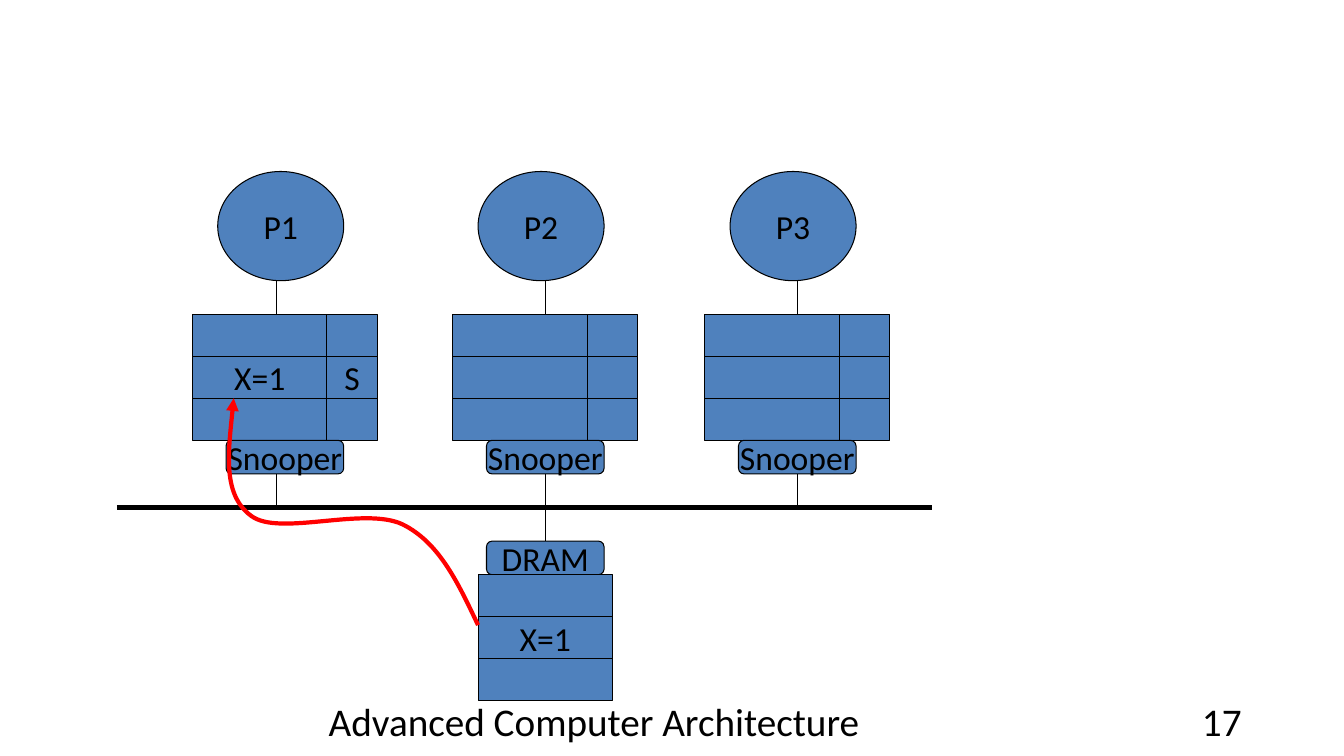
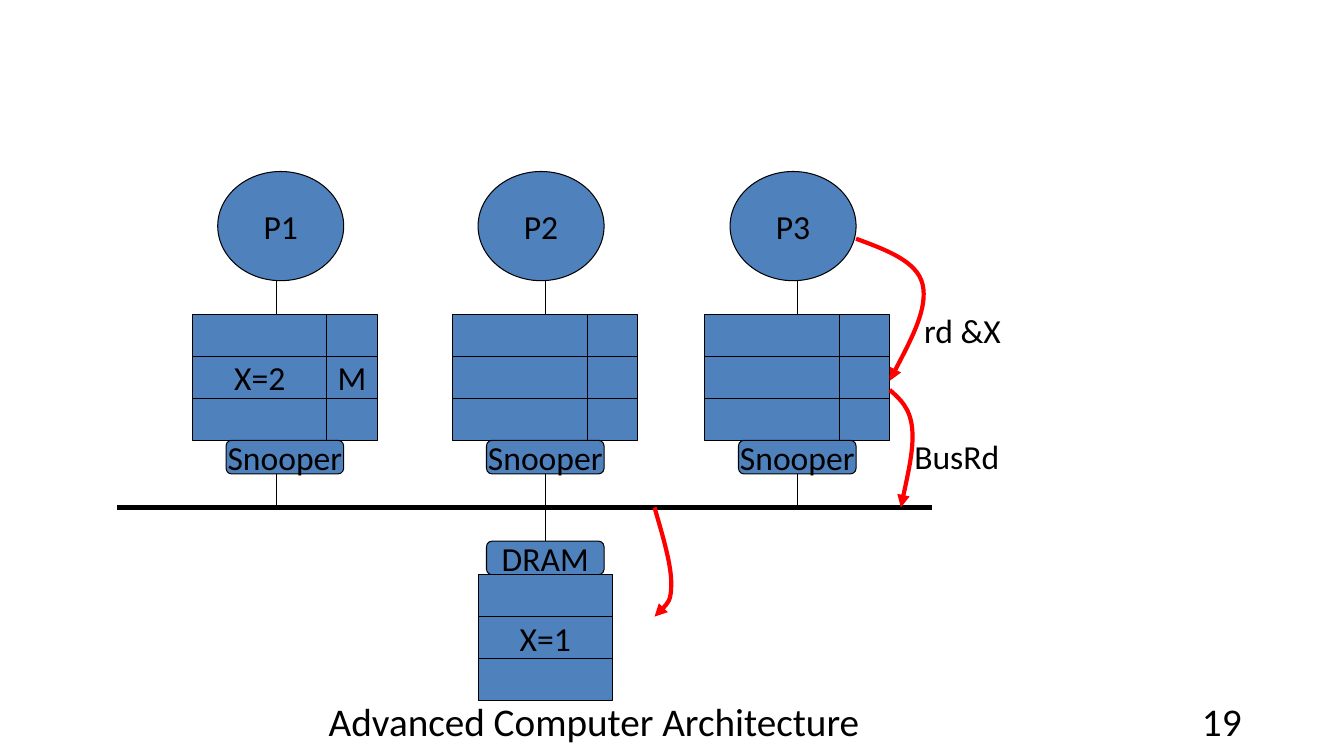
from dataclasses import dataclass

from lxml import etree
from pptx import Presentation
from pptx.dml.color import RGBColor
from pptx.enum import shapes, text
from pptx.oxml import ns
from pptx.util import Pt

BLUE = RGBColor(0x4F, 0x81, 0xBD)
BLACK = RGBColor(0, 0, 0)
RED = RGBColor(0xFF, 0, 0)
FONT = "Calibri"
FOOTER = "Advanced Computer Architecture"

# Vertical layout, in points
CIRCLE_TOP, CIRCLE_W, CIRCLE_H = 122.5, 90, 78
CACHE_TOP, ROW_H, ROWS = 224.5, 30, 3
DATA_W, STATE_W = 96, 36
LABEL_W, LABEL_H = 84, 24
SNOOPER_TOP = CACHE_TOP + ROWS * ROW_H
BUS_Y, BUS_LEFT, BUS_RIGHT = 362.5, 83.5, 665.5
DRAM_TOP, MEMORY_LEFT = 386.5, 341.5

RECT = shapes.MSO_SHAPE.RECTANGLE
ROUNDED = shapes.MSO_SHAPE.ROUNDED_RECTANGLE
OVAL = shapes.MSO_SHAPE.OVAL
LEFT, CENTER, RIGHT = text.PP_ALIGN.LEFT, text.PP_ALIGN.CENTER, text.PP_ALIGN.RIGHT
TOP, MIDDLE = text.MSO_ANCHOR.TOP, text.MSO_ANCHOR.MIDDLE

Point = tuple[float, float]


@dataclass(frozen=True)
class Processor:
    name: str
    left: float
    wire_x: float


@dataclass(frozen=True)
class Caption:
    words: str
    left: float
    top: float


@dataclass(frozen=True)
class Step:
    number: str
    value: str
    state: str
    # Each curve is a start point, then two handles and an end per segment
    curves: list[list[Point]]
    captions: list[Caption]


PROCESSORS = [
    Processor("P1", 137.5, 197.5),
    Processor("P2", 323.5, 389.5),
    Processor("P3", 503.5, 569.5),
]
MEMORY_WIRE_X = PROCESSORS[1].wire_x

MEMORY_TO_P1 = [
    (341.5, 446.5), (327.5, 417), (314, 387.5), (287.5, 374.5),
    (260, 361.5), (199.5, 383.5), (179.5, 368.5),
    (159, 353.5), (163.5, 319), (167, 284.5),
]
P3_TO_CACHE = [
    (611.5, 170.5), (633, 178.5), (655, 186.5), (659, 203),
    (663, 220), (649, 246), (635.5, 272),
]
CACHE_TO_BUS = [
    (635.5, 278.5), (643, 285), (650, 291.5), (651.5, 305.5),
    (653, 319.5), (648, 341), (643.5, BUS_Y),
]
BUS_TO_MEMORY = [
    (467.5, BUS_Y), (473.5, 383), (479.5, 403), (479.5, 416.5),
    (479.5, 430), (473.5, 435), (467.5, 440.5),
]

STEPS = [
    Step("17", "X=1", "S", [MEMORY_TO_P1], []),
    Step("19", "X=2", "M", [P3_TO_CACHE, CACHE_TO_BUS, BUS_TO_MEMORY],
         [Caption("rd &X", 653, 218), Caption("BusRd", 646, 308)]),
]


def write(box, words: str, size: float, align, anchor) -> None:
    frame = box.text_frame
    frame.text = words
    frame.vertical_anchor = anchor
    para = frame.paragraphs[0]
    para.alignment = align
    for span in para.runs:
        span.font.name = FONT
        span.font.size = Pt(size)
        span.font.color.rgb = BLACK


def add_block(page, kind, left: float, top: float, width: float, height: float,
              words: str = "") -> None:
    box = page.shapes.add_shape(kind, Pt(left), Pt(top), Pt(width), Pt(height))
    box.shadow.inherit = False
    box.fill.solid()
    box.fill.fore_color.rgb = BLUE
    box.line.color.rgb = BLACK
    box.line.width = Pt(0.75)
    if words:
        write(box, words, 24, CENTER, MIDDLE)
        box.text_frame.word_wrap = False


def add_label(page, left: float, top: float, width: float, height: float, words: str,
              size: float, align=LEFT, anchor=TOP) -> None:
    box = page.shapes.add_textbox(Pt(left), Pt(top), Pt(width), Pt(height))
    write(box, words, size, align, anchor)
    box.text_frame.word_wrap = True


def add_wire(page, start: Point, end: Point, weight: float = 0.75) -> None:
    wire = page.shapes.add_connector(
        shapes.MSO_CONNECTOR.STRAIGHT, *(Pt(value) for value in start + end))
    wire.line.color.rgb = BLACK
    wire.line.width = Pt(weight)
    etree.SubElement(wire._element.spPr, ns.qn("a:effectLst"))


def add_curve(page, points: list[Point]) -> None:
    start, *rest = [(Pt(x), Pt(y)) for x, y in points]
    builder = page.shapes.build_freeform(*start)
    builder.add_line_segments(rest, close=False)
    curve = builder.convert_to_shape()
    curve.shadow.inherit = False
    curve.fill.background()
    curve.line.color.rgb = RED
    curve.line.width = Pt(3)
    etree.SubElement(curve.line._get_or_add_ln(), ns.qn("a:tailEnd"), type="triangle")

    # Fold every three straight segments into one Bezier segment
    outline = next(curve._element.iter(ns.qn("a:path")))
    segments = outline.findall(ns.qn("a:lnTo"))
    for first in range(0, len(segments), 3):
        bezier = etree.SubElement(outline, ns.qn("a:cubicBezTo"))
        for segment in segments[first:first + 3]:
            bezier.append(segment[0])
            outline.remove(segment)


def add_processor(page, cpu: Processor, value: str, state: str) -> None:
    add_block(page, OVAL, cpu.left + 18, CIRCLE_TOP, CIRCLE_W, CIRCLE_H, cpu.name)
    add_wire(page, (cpu.wire_x, CIRCLE_TOP + CIRCLE_H), (cpu.wire_x, CACHE_TOP))
    for row in range(ROWS):
        top = CACHE_TOP + row * ROW_H
        filled = row == 1
        add_block(page, RECT, cpu.left, top, DATA_W, ROW_H, value if filled else "")
        add_block(page, RECT, cpu.left + DATA_W, top, STATE_W, ROW_H,
                  state if filled else "")
    add_block(page, ROUNDED, cpu.left + 24, SNOOPER_TOP, LABEL_W, LABEL_H, "Snooper")
    add_wire(page, (cpu.wire_x, SNOOPER_TOP + LABEL_H), (cpu.wire_x, BUS_Y))


def add_memory(page) -> None:
    add_wire(page, (MEMORY_WIRE_X, BUS_Y), (MEMORY_WIRE_X, DRAM_TOP))
    add_block(page, ROUNDED, MEMORY_LEFT + 6, DRAM_TOP, LABEL_W, LABEL_H, "DRAM")
    for row, words in enumerate(["", "X=1", ""]):
        add_block(page, RECT, MEMORY_LEFT, DRAM_TOP + LABEL_H + row * ROW_H,
                  DATA_W, ROW_H, words)


def add_step(deck, step: Step) -> None:
    page = deck.slides.add_slide(deck.slide_layouts[6])

    # Processors, bus and memory
    for cpu in PROCESSORS:
        holds_line = cpu.name == "P1"
        add_processor(page, cpu, step.value if holds_line else "",
                      step.state if holds_line else "")
    add_wire(page, (BUS_LEFT, BUS_Y), (BUS_RIGHT, BUS_Y), 3.25)
    add_memory(page)

    # Data movement
    for points in step.curves:
        add_curve(page, points)
    for caption in step.captions:
        add_label(page, caption.left, caption.top, 90, 36, caption.words, 24)

    # Footer
    add_label(page, 206.5, 500.5, 435.5, 29, FOOTER, 28, CENTER, MIDDLE)
    add_label(page, 678, 500.5, 216, 29, step.number, 28, RIGHT, MIDDLE)


def main() -> None:
    deck = Presentation()
    deck.slide_width, deck.slide_height = Pt(960), Pt(540)
    for step in STEPS:
        add_step(deck, step)
    deck.save("out.pptx")


if __name__ == "__main__":
    main()
